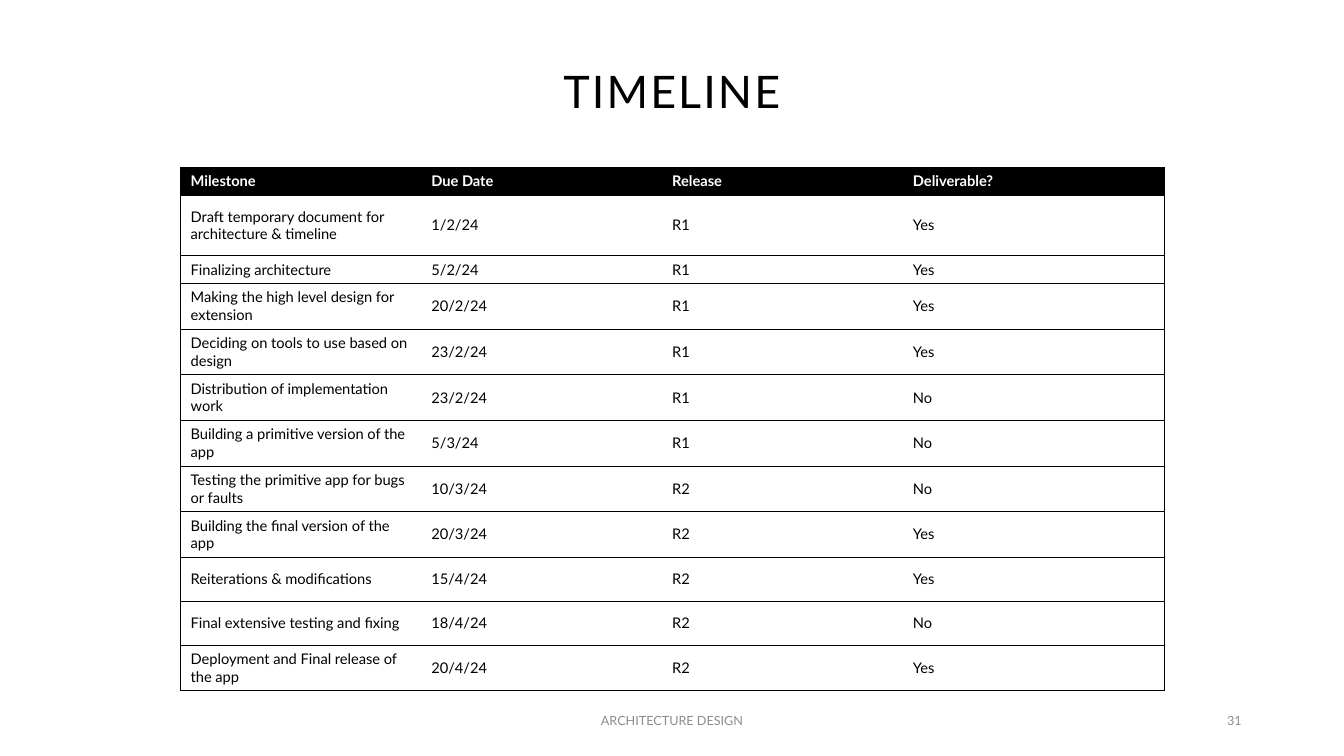
"""Build the project timeline slide with its milestone table."""
from lxml.etree import SubElement
from pptx import Presentation
from pptx.dml.color import RGBColor
from pptx.enum.text import MSO_ANCHOR, PP_ALIGN
from pptx.oxml.ns import qn
from pptx.util import Pt

BLACK = RGBColor(0x00, 0x00, 0x00)
WHITE = RGBColor(0xFF, 0xFF, 0xFF)
GRAY = RGBColor(0x8C, 0x8C, 0x8C)

SINGLE_LINE, MEDIUM, TWO_LINES, TALL = 19.8, 31.4, 32.6, 43.2
COLUMN_WIDTHS = [172, 172, 172, 186.5]
ROWS = [
    (SINGLE_LINE, "Milestone", "Due Date", "Release", "Deliverable?"),
    (TALL, "Draft temporary document for architecture & timeline", "1/2/24", "R1", "Yes"),
    (SINGLE_LINE, "Finalizing architecture", "5/2/24", "R1", "Yes"),
    (TWO_LINES, "Making the high level design for extension", "20/2/24", "R1", "Yes"),
    (TWO_LINES, "Deciding on tools to use based on design", "23/2/24", "R1", "Yes"),
    (TWO_LINES, "Distribution of implementation work", "23/2/24", "R1", "No"),
    (TWO_LINES, "Building a primitive version of the app", "5/3/24", "R1", "No"),
    (TWO_LINES, "Testing the primitive app for bugs or faults", "10/3/24", "R2", "No"),
    (TWO_LINES, "Building the final version of the app", "20/3/24", "R2", "Yes"),
    (MEDIUM, "Reiterations & modifications", "15/4/24", "R2", "Yes"),
    (MEDIUM, "Final extensive testing and fixing", "18/4/24", "R2", "No"),
    (TWO_LINES, "Deployment and Final release of the app", "20/4/24", "R2", "Yes"),
]
TEXTS = [
    ("TIMELINE", (66, 15, 828, 104.5), PP_ALIGN.CENTER, 0.9, 150,
     {"name": "Lato", "size": Pt(32)}, BLACK),
    ("ARCHITECTURE DESIGN", (318, 500.5, 324, 28.8), PP_ALIGN.CENTER, 1, 0,
     {"name": "Lato", "size": Pt(9)}, GRAY),
    ("31", (678, 500.5, 216, 28.8), PP_ALIGN.RIGHT, 1, 0,
     {"name": "Lato", "size": Pt(9)}, GRAY),
]


def write_text(paragraph, text, font_format, color):
    run = paragraph.add_run()
    run.text = text
    for attribute, value in font_format.items():
        setattr(run.font, attribute, value)
    run.font.color.rgb = color
    return run


def add_border(cell, side, visible):
    line = SubElement(cell._tc.get_or_add_tcPr(), qn(f"a:{side}"), w=str(Pt(0.5)))
    if visible:
        fill = SubElement(line, qn("a:solidFill"))
        SubElement(fill, qn("a:srgbClr"), val=str(BLACK))
    else:
        SubElement(line, qn("a:noFill"))


presentation = Presentation()
presentation.slide_width = Pt(960)
presentation.slide_height = Pt(540)
slide = presentation.slides.add_slide(presentation.slide_layouts[6])

for text, box, alignment, line_spacing, letter_spacing, font_format, color in TEXTS:
    frame = slide.shapes.add_textbox(*map(Pt, box)).text_frame
    frame.word_wrap = True
    frame.vertical_anchor = MSO_ANCHOR.MIDDLE
    paragraph = frame.paragraphs[0]
    paragraph.alignment = alignment
    paragraph.line_spacing = line_spacing
    run = write_text(paragraph, text, font_format, color)
    if letter_spacing:
        run._r.get_or_add_rPr().set("spc", str(letter_spacing))

table_width = sum(COLUMN_WIDTHS)
table_height = sum(row[0] for row in ROWS)
table = slide.shapes.add_table(
    len(ROWS), len(COLUMN_WIDTHS), Pt(129), Pt(119.5), Pt(table_width), Pt(table_height)
).table
table.horz_banding = False
for column, width in zip(table.columns, COLUMN_WIDTHS):
    column.width = Pt(width)

last_column = len(COLUMN_WIDTHS) - 1
for row_index, (height, *values) in enumerate(ROWS):
    table.rows[row_index].height = Pt(height)
    is_header = row_index == 0
    for column_index, value in enumerate(values):
        cell = table.cell(row_index, column_index)
        cell.vertical_anchor = MSO_ANCHOR.MIDDLE
        write_text(
            cell.text_frame.paragraphs[0], value,
            {"name": "Lato", "size": Pt(10.5), "bold": is_header},
            WHITE if is_header else BLACK,
        )
        add_border(cell, "lnL", column_index == 0)
        add_border(cell, "lnR", column_index == last_column)
        add_border(cell, "lnT", True)
        add_border(cell, "lnB", True)
        cell.fill.solid()
        cell.fill.fore_color.rgb = BLACK if is_header else WHITE

presentation.save("out.pptx")
